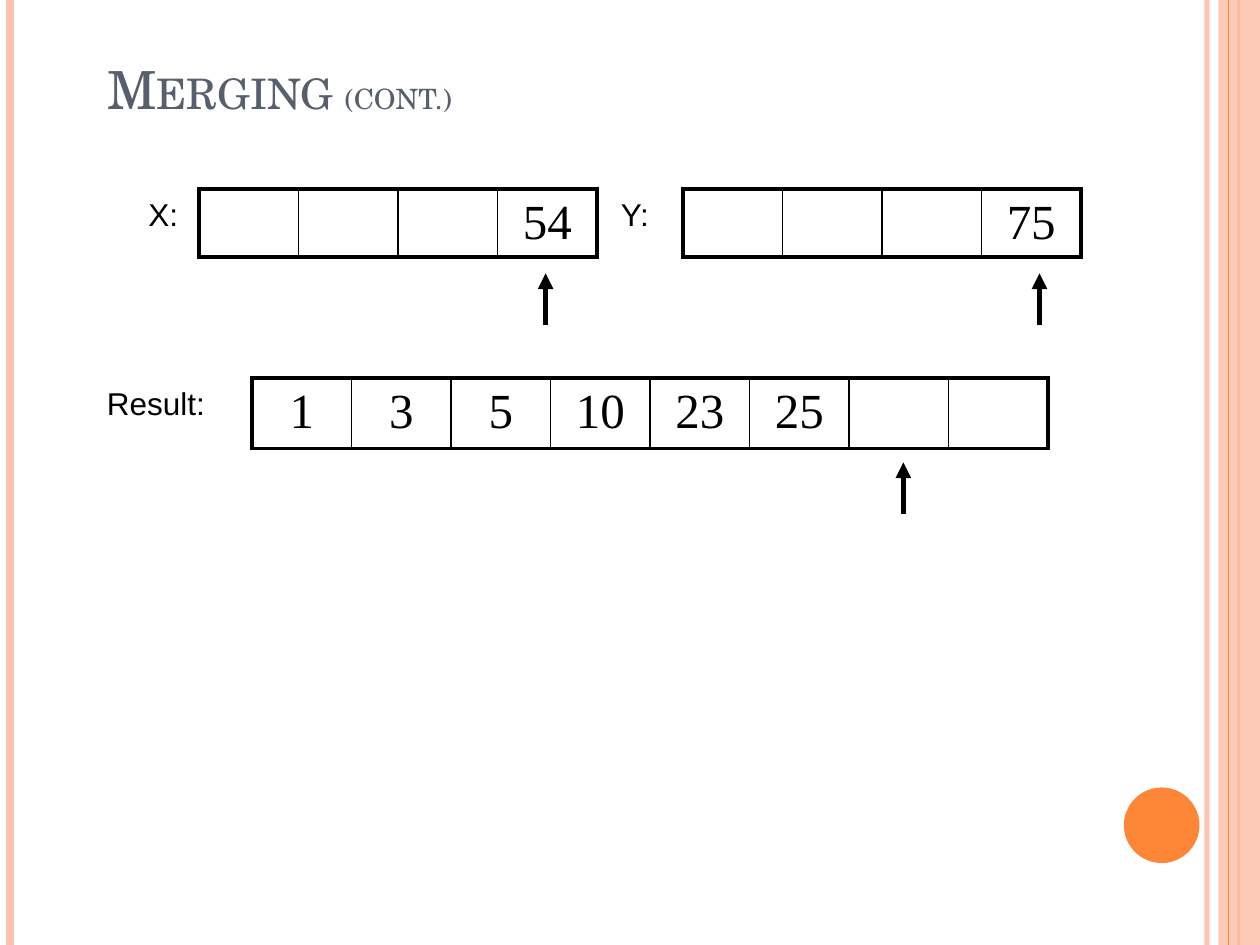
import pptx
import pptx.dml.color
import pptx.enum.shapes
import pptx.enum.text
import pptx.oxml
import pptx.oxml.ns
import pptx.util
from lxml import etree

Inches = pptx.util.Inches
Pt = pptx.util.Pt
RGBColor = pptx.dml.color.RGBColor
qn = pptx.oxml.ns.qn

BLACK = RGBColor(0x00, 0x00, 0x00)
SLATE = RGBColor(0x57, 0x5F, 0x6D)
ORANGE = RGBColor(0xFE, 0x86, 0x37)
PEACH = RGBColor(0xFE, 0xC3, 0xAE)

CELL_WIDTH = 0.79
OUTER_BORDER = 2.25
INNER_BORDER = 1


def set_alpha(fill_owner, percent):
    color = next(fill_owner.iter(qn("a:srgbClr")))
    etree.SubElement(color, qn("a:alpha"), val=str(percent * 1000))


def add_text(paragraph, text, size, font, color=BLACK, small_caps=False):
    run = paragraph.add_run()
    run.text = text
    run.font.size = Pt(size)
    run.font.name = font
    run.font.color.rgb = color
    if small_caps:
        run.font._element.set("cap", "small")


def add_line(slide, start, end, color, width, alpha=None, arrow=False):
    line = slide.shapes.add_connector(
        pptx.enum.shapes.MSO_CONNECTOR.STRAIGHT,
        *(Inches(value) for value in start + end))
    line.line.color.rgb = color
    line.line.width = Pt(width)
    properties = line._element.spPr
    if alpha:
        set_alpha(properties, alpha)
    if arrow:
        etree.SubElement(line.line._get_or_add_ln(), qn("a:tailEnd"), type="triangle")
    etree.SubElement(properties, qn("a:effectLst"))


def add_shape(slide, kind, left, top, width, height, color, alpha=None):
    shape = slide.shapes.add_shape(
        kind, Inches(left), Inches(top), Inches(width), Inches(height))
    shape.shadow.inherit = False
    shape.fill.solid()
    shape.fill.fore_color.rgb = color
    shape.line.fill.background()
    if alpha:
        set_alpha(shape._element.spPr, alpha)


def add_label(slide, text, left, top, width):
    box = slide.shapes.add_textbox(Inches(left), Inches(top), Inches(width), Inches(0.5))
    box.text_frame.word_wrap = True
    add_text(box.text_frame.paragraphs[0], text, 18, "Arial")


def set_borders(cell, widths):
    properties = cell._tc.get_or_add_tcPr()
    for index, (side, width) in enumerate(widths.items()):
        border = pptx.oxml.parse_xml(
            f'<a:ln{side} {pptx.oxml.ns.nsdecls("a")} w="{int(Pt(width))}">'
            f'<a:solidFill><a:srgbClr val="{BLACK}"/></a:solidFill></a:ln{side}>')
        properties.insert(index, border)


def add_array(slide, values, left, top, height):
    count = len(values)
    table = slide.shapes.add_table(
        1, count, Inches(left), Inches(top),
        Inches(CELL_WIDTH * count), Inches(height)).table
    table.first_row = False
    table.horz_banding = False
    for index, value in enumerate(values):
        table.columns[index].width = Inches(CELL_WIDTH)
        cell = table.cell(0, index)
        cell.fill.background()
        set_borders(cell, {
            "L": OUTER_BORDER if index == 0 else INNER_BORDER,
            "R": OUTER_BORDER if index == count - 1 else INNER_BORDER,
            "T": OUTER_BORDER,
            "B": OUTER_BORDER,
        })
        if value:
            paragraph = cell.text_frame.paragraphs[0]
            paragraph.alignment = pptx.enum.text.PP_ALIGN.CENTER
            add_text(paragraph, value, 28, "Times New Roman")


def add_decoration(slide):
    shapes = pptx.enum.shapes.MSO_SHAPE
    for x, color, width, alpha in ((9.58, PEACH, 3, 93), (0.08, PEACH, 4.5, None),
                                   (9.83, ORANGE, 1.5, None)):
        add_line(slide, (x, 0), (x, 7.5), color, width, alpha)
    add_shape(slide, shapes.RECTANGLE, 9.67, 0, 0.33, 7.5, PEACH, 87)
    add_line(slide, (9.75, 0), (9.75, 7.5), ORANGE, 0.75)
    add_shape(slide, shapes.OVAL, 8.92, 6.25, 0.6, 0.6, ORANGE)


def fill_title(slide):
    title = slide.shapes.title
    title.left, title.top = Inches(0.75), Inches(0.17)
    title.width, title.height = Inches(8.5), Inches(0.83)
    frame = title.text_frame
    frame.auto_size = pptx.enum.text.MSO_AUTO_SIZE.NONE
    frame.vertical_anchor = pptx.enum.text.MSO_ANCHOR.BOTTOM
    paragraph = frame.paragraphs[0]
    paragraph.alignment = pptx.enum.text.PP_ALIGN.LEFT
    for text, size in (("Merging ", 30), ("(cont.)", 20)):
        add_text(paragraph, text, size, "TeX Gyre Schola", SLATE, small_caps=True)


def main():
    presentation = pptx.Presentation()
    presentation.slide_width = Inches(10)
    presentation.slide_height = Inches(7.5)
    slide = presentation.slides.add_slide(presentation.slide_layouts[5])

    add_decoration(slide)
    fill_title(slide)

    # Arrays being merged and their result
    add_array(slide, ["", "", "", "54"], 1.58, 1.5, 0.54)
    add_array(slide, ["", "", "", "75"], 5.42, 1.5, 0.54)
    add_array(slide, ["1", "3", "5", "10", "23", "25", "", ""], 2, 3, 0.56)

    # Arrows at the current positions
    for x, top in ((4.33, 2.17), (8.25, 2.17), (7.17, 3.67)):
        add_line(slide, (x, top + 0.41), (x, top), BLACK, 3, arrow=True)

    # Array names
    add_label(slide, "X:", 1.08, 1.5, 0.58)
    add_label(slide, "Y:", 4.83, 1.5, 0.58)
    add_label(slide, "Result:", 0.75, 3, 1.17)

    presentation.save("out.pptx")


if __name__ == "__main__":
    main()
